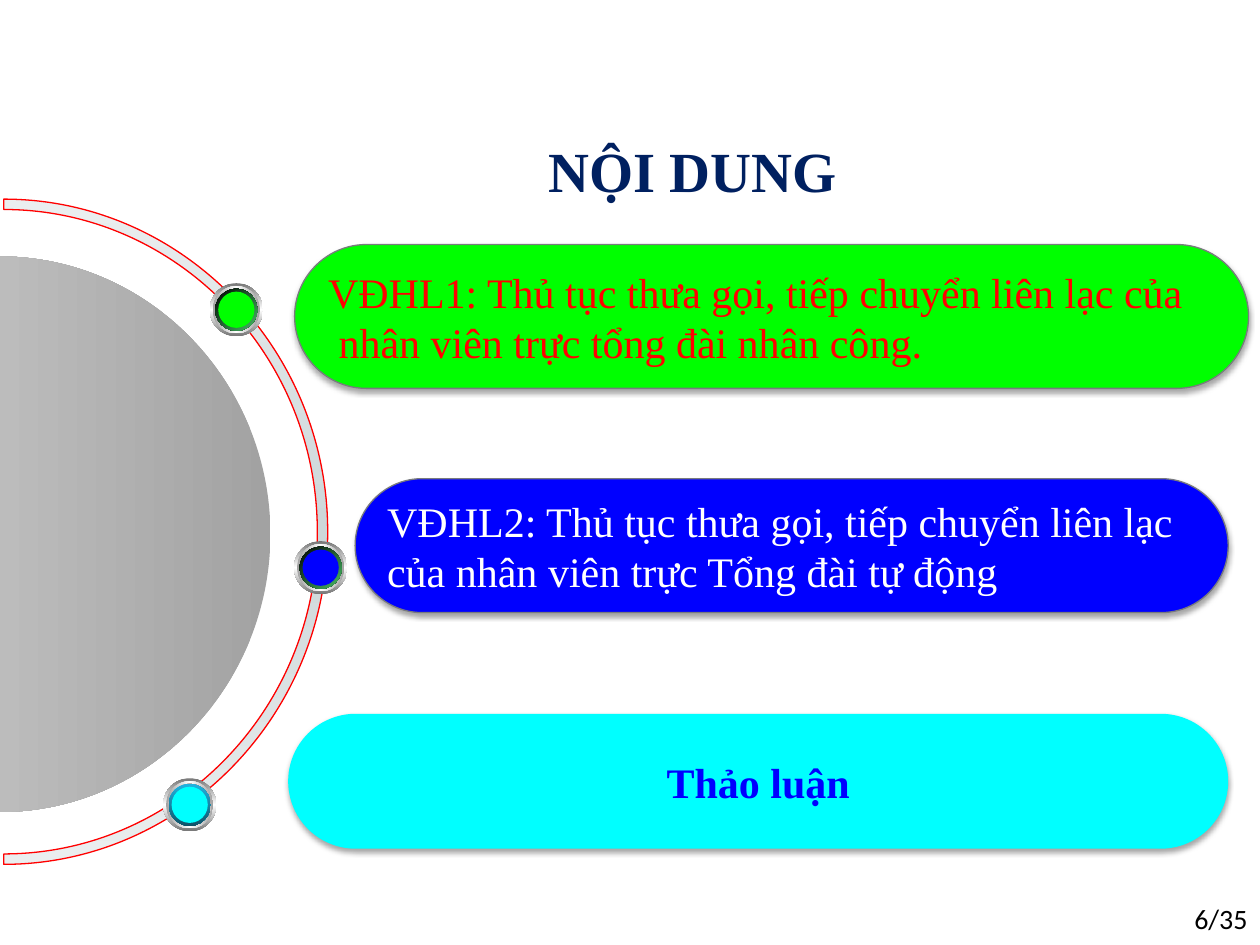
from lxml import etree
from pptx import Presentation
from pptx.dml.color import RGBColor
from pptx.enum.shapes import MSO_SHAPE
from pptx.enum.text import MSO_ANCHOR, PP_ALIGN
from pptx.oxml import parse_xml
from pptx.util import Cm, Pt

OVAL, PILL = MSO_SHAPE.OVAL, MSO_SHAPE.ROUNDED_RECTANGLE
LEFT, CENTER, RIGHT = PP_ALIGN.LEFT, PP_ALIGN.CENTER, PP_ALIGN.RIGHT
MIDDLE = MSO_ANCHOR.MIDDLE
NS = "http://schemas.openxmlformats.org/drawingml/2006/main"
SERIF = "Times New Roman"
KAPPA = 0.55

GREEN_RIM = (["000000", "48BE67"], 45)
BLUE_RIM = (["21B3E1", "0F5368"], 90)
PILLS = [
    ((7.16, 9.65, 17.6, 2.7), "0000FF", "797B7E", "FFFFFF", LEFT, False,
     "VĐHL2: Thủ tục thưa gọi, tiếp chuyển liên lạc\n"
     "của nhân viên trực Tổng đài tự động"),
    ((5.94, 4.93, 19.23, 2.9), "00FF00", "797B7E", "FF0000", LEFT, False,
     "VĐHL1: Thủ tục thưa gọi, tiếp chuyển liên lạc của\n"
     " nhân viên trực tổng đài nhân công."),
    ((5.81, 14.39, 18.95, 2.72), "00FFFF", None, "0000FF", CENTER, True, "Thảo luận"),
]
BUTTONS = [
    (4.23, 5.71, "00FF00", GREEN_RIM),
    (3.29, 15.69, "00FFFF", BLUE_RIM),
    (5.93, 10.91, "0000FF", GREEN_RIM),
]


def rgb(value):
    """Return the colour for a hex string."""
    return RGBColor.from_string(value)


def paint(s, fill, line=None):
    """Give a shape a plain colour or a (colours, angle) gradient, and an outline."""
    s.shadow.inherit = False
    if isinstance(fill, str):
        s.fill.solid()
        s.fill.fore_color.rgb = rgb(fill)
    else:
        colors, angle = fill
        s.fill.gradient()
        grad = s._element.spPr.find(f"{{{NS}}}gradFill")
        stops = grad.find(f"{{{NS}}}gsLst")
        for stop in list(stops):
            stops.remove(stop)
        for i, color in enumerate(colors):
            pos = 100000 * i // (len(colors) - 1)
            stop = etree.SubElement(stops, f"{{{NS}}}gs", pos=str(pos))
            etree.SubElement(stop, f"{{{NS}}}srgbClr", val=color)
        grad.find(f"{{{NS}}}lin").set("ang", str(angle * 60000))
    if line:
        s.line.color.rgb = rgb(line)
        s.line.width = Pt(0.75)
    else:
        s.line.fill.background()


def drop_shadow(s):
    """Cast a soft shadow straight down."""
    effects = s._element.spPr.find(f"{{{NS}}}effectLst")
    effects.append(parse_xml(
        f'<a:outerShdw xmlns:a="{NS}" blurRad="{Pt(3.1)}" dist="{Pt(1.8)}" '
        'dir="5400000" rotWithShape="0"><a:srgbClr val="000000">'
        '<a:alpha val="35000"/></a:srgbClr></a:outerShdw>'))


def write(s, text, size, color, align, font=SERIF, bold=False):
    """Set and format the text of a shape."""
    tf = s.text_frame
    tf.text = text
    tf.word_wrap = True
    tf.vertical_anchor = MIDDLE
    for p in tf.paragraphs:
        p.alignment = align
        for r in p.runs:
            r.font.name, r.font.size, r.font.bold = font, Pt(size), bold
            r.font.color.rgb = rgb(color)


def arch(cx, base, rx, ry):
    """Return the seven Bezier points of a half ellipse, from left to right."""
    kx, ky, top = KAPPA * rx, base - KAPPA * ry, base - ry
    return [(cx - rx, base), (cx - rx, ky), (cx - kx, top), (cx, top),
            (cx + kx, top), (cx + rx, ky), (cx + rx, base)]


def add_step(outline, tag, points):
    """Append one drawing step to an outline."""
    step = etree.SubElement(outline, f"{{{NS}}}{tag}")
    for x, y in points:
        etree.SubElement(step, f"{{{NS}}}pt", x=str(Cm(x)), y=str(Cm(y)))


def add_arch(slide, box, ry, fill, line=None, thickness=None):
    """Add an arch, solid or hollow, in the upper half of a box turned to the right."""
    left, top, width, height = box
    builder = slide.shapes.build_freeform(Cm(left), Cm(top))
    builder.add_line_segments([(Cm(left + width), Cm(top + height))])
    s = builder.convert_to_shape()
    outline = next(s._element.iter(f"{{{NS}}}path"))
    for step in list(outline):
        outline.remove(step)
    rx = width / 2
    curves = [arch(rx, ry, rx, ry)]
    if thickness:
        curves.append(arch(rx, ry, rx - thickness, ry - thickness)[::-1])
    for i, points in enumerate(curves):
        add_step(outline, "lnTo" if i else "moveTo", points[:1])
        add_step(outline, "cubicBezTo", points[1:4])
        add_step(outline, "cubicBezTo", points[4:])
    add_step(outline, "close", [])
    paint(s, fill, line)
    s.rotation = 90


def add_dial(slide):
    """Add the half ring and the half disc at the left edge."""
    add_arch(slide, (-6.73, 4.09, 13.41, 13.26), 6.53,
             (["EAEEEF", "CDD7D9", "EAEEEF"], 0), "FF0000", 0.21)
    add_arch(slide, (-5.61, 5.31, 11.2, 10.92), 5.46, (["A2A2A2", "D9D9D9"], 90))


def add_pill(slide, box, fill, line, color, align, bold, text):
    """Add a fully rounded bar with its text."""
    s = slide.shapes.add_shape(PILL, *map(Cm, box))
    s.adjustments[0] = 0.5
    paint(s, fill, line)
    drop_shadow(s)
    write(s, text, 24, color, align, bold=bold)


def add_button(slide, left, top, color, rim, size=1.07):
    """Add a round button of nested discs."""
    discs = [
        (0, (["767676", "FFFFFF", "767676"], 90)),
        (0.06, (["A2A2A2", "FFFFFF", "A2A2A2"], 0)),
        (0.11, (["FFFFFF", "5F5F5F", "FFFFFF"], 45)),
        (0.11, rim),
        (0.17, color),
    ]
    group = slide.shapes.add_group_shape()
    for inset, fill in discs:
        side = Cm(size - 2 * inset)
        s = group.shapes.add_shape(OVAL, Cm(left + inset), Cm(top + inset), side, side)
        paint(s, fill)


def add_title(slide, left, top, width, height):
    """Move and format the title placeholder."""
    s = slide.shapes.title
    s.left, s.top, s.width, s.height = map(Cm, (left, top, width, height))
    write(s, "NỘI DUNG", 32.4, "002060", CENTER, bold=True)


def add_page_number(slide, left, top, width, height):
    """Add the page count in the corner."""
    s = slide.shapes.add_textbox(*map(Cm, (left, top, width, height)))
    write(s, "6/35", 16, "000000", RIGHT, font="Calibri")


def main():
    """Build the contents slide and save it."""
    prs = Presentation()
    prs.slide_width, prs.slide_height = Cm(25.4), Cm(19.05)
    slide = prs.slides.add_slide(prs.slide_layouts[5])
    add_title(slide, 9.93, 2.6, 8.05, 1.63)
    add_dial(slide)
    for pill in PILLS:
        add_pill(slide, *pill)
    for button in BUTTONS:
        add_button(slide, *button)
    add_page_number(slide, 23.01, 18, 2.39, 1.02)
    prs.save("out.pptx")


if __name__ == "__main__":
    main()
